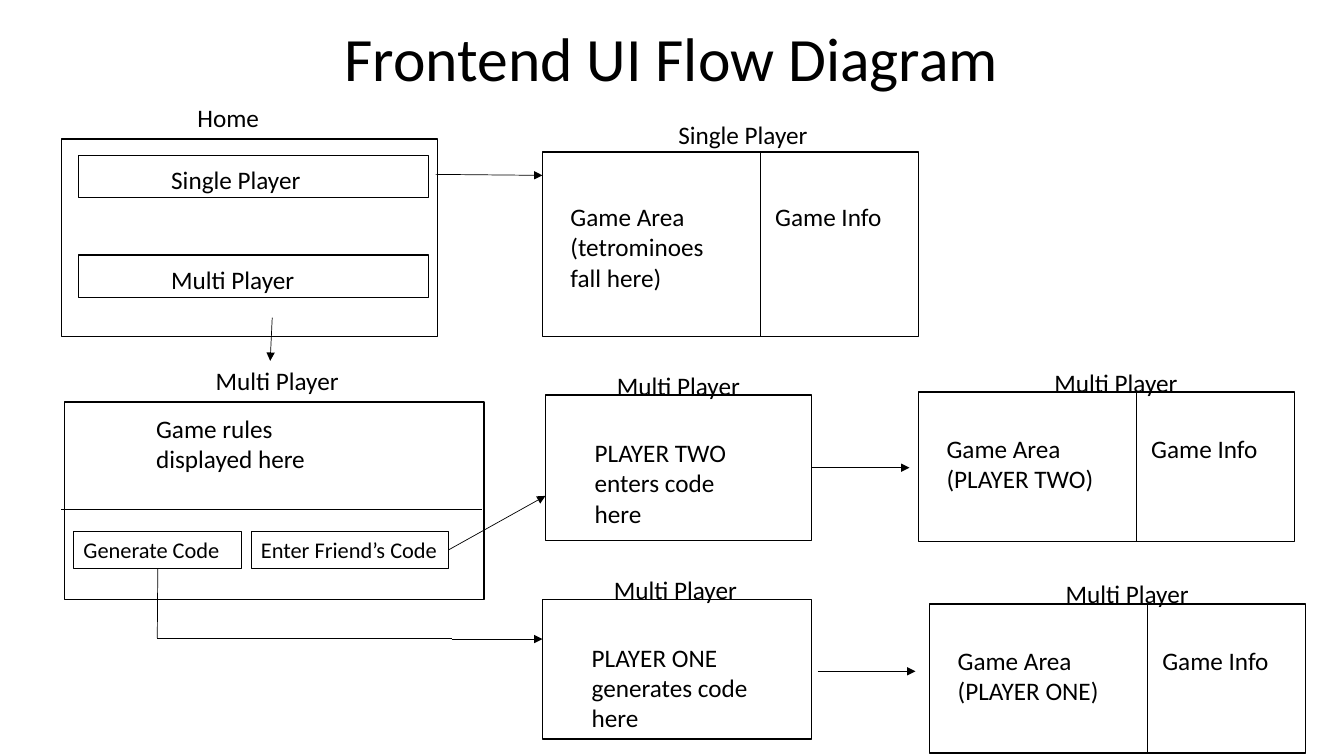
"""Build the frontend UI flow diagram slide."""
import pptx
import pptx.util
import pptx.dml.color
import pptx.enum.shapes
import pptx.enum.text
import pptx.oxml
import pptx.oxml.ns

COLORS = {"ink": "000000", "paper": "FFFFFF"}
INK = pptx.dml.color.RGBColor.from_string(COLORS["ink"])
FONT = {"name": "Calibri", "size": pptx.util.Pt(18)}
COLS, ROWS = 13.33, 7.5

prs = pptx.Presentation()
prs.slide_width = pptx.util.Inches(COLS)
prs.slide_height = pptx.util.Inches(ROWS)
COL, ROW = prs.slide_width / COLS, prs.slide_height / ROWS
s = prs.slides.add_slide(prs.slide_layouts[5])
s.background.fill.solid()
s.background.fill.fore_color.rgb = pptx.dml.color.RGBColor.from_string(COLORS["paper"])


def add_box(x, y, w, h, text="", line=None, **font):
    """Add a text box, or an outlined rectangle when a line width is given."""
    at = [int(v) for v in (x * COL, y * ROW, w * COL, h * ROW)]
    if line:
        sp = s.shapes.add_shape(pptx.enum.shapes.MSO_SHAPE.RECTANGLE, *at)
        sp.shadow.inherit = False
        sp.fill.background()
        sp.line.color.rgb = INK
        sp.line.width = pptx.util.Pt(line)
    else:
        sp = s.shapes.add_textbox(*at)
    if text:
        tf = sp.text_frame
        tf.word_wrap = True
        tf.vertical_anchor = pptx.enum.text.MSO_ANCHOR.TOP
        p = tf.paragraphs[0]
        p.alignment = pptx.enum.text.PP_ALIGN.LEFT
        r = p.add_run()
        r.text = text
        r.font.color.rgb = INK
        for key, value in {**FONT, **font}.items():
            setattr(r.font, key, value)
    return sp


def add_line(x1, y1, x2, y2, arrow=False):
    """Add a thin straight line, with an arrowhead at its end if asked."""
    cn = s.shapes.add_connector(
        pptx.enum.shapes.MSO_CONNECTOR.STRAIGHT,
        int(x1 * COL), int(y1 * ROW), int(x2 * COL), int(y2 * ROW))
    cn.line.color.rgb = INK
    cn.line.width = pptx.util.Pt(0.5)
    if arrow:
        head = pptx.oxml.parse_xml(
            f'<a:tailEnd {pptx.oxml.ns.nsdecls("a")} type="triangle"/>')
        cn.line._get_or_add_ln().append(head)
    cn._element.spPr.append(
        pptx.oxml.parse_xml(f'<a:effectLst {pptx.oxml.ns.nsdecls("a")}/>'))
    return cn


title = s.shapes.title
title.left, title.top = int(0.9 * COL), int(0.06 * ROW)
title.width, title.height = int(11.52 * COL), int(1.1 * ROW)
title.text_frame.text = "Frontend UI Flow Diagram"
title.text_frame.vertical_anchor = pptx.enum.text.MSO_ANCHOR.MIDDLE
p = title.text_frame.paragraphs[0]
p.alignment = pptx.enum.text.PP_ALIGN.CENTER
p.line_spacing = 0.9
p.font.color.rgb = INK
for key, value in {**FONT, "size": pptx.util.Pt(44)}.items():
    setattr(p.font, key, value)

add_box(0.61, 1.38, 3.73, 1.96, line=1)
add_box(1.86, 0.97, 0.9, 0.4, "Home")
for i, mode in enumerate(["Single Player", "Multi Player"]):
    y = 1.54 + i * 0.99
    add_box(0.78, y, 3.47, 0.42, line=1)
    add_box(1.6, y + 0.04, 1.6, 0.4, mode)

add_box(0.64, 3.99, 4.16, 1.96, line=1)
add_box(2.04, 3.58, 1.6, 0.4, "Multi Player")
add_box(1.45, 4.05, 1.87, 0.71, "Game rules displayed here")
add_line(0.61, 5.05, 4.78, 5.05)
buttons = []
for x, w, text in [(0.73, 1.67, "Generate Code"), (2.49, 1.96, "Enter Friend’s Code")]:
    sp = add_box(x, 5.27, w, 0.37, text, line=0.75, size=pptx.util.Pt(16))
    sp.text_frame.margin_right = 0
    buttons.append(sp)
generate, enter = buttons

code_screens = []
for x, y, w, h, prompt in [
    (5.41, 3.92, 2.64, 1.44, "PLAYER TWO enters code here"),
    (5.38, 5.95, 2.67, 1.38, "PLAYER ONE generates code here"),
]:
    code_screens.append(add_box(x, y, w, h, line=1))
    add_box(x + 0.61, y - 0.3, 1.6, 0.3, "Multi Player")
    add_box(x + 0.39, y + 0.37, 1.86, 0.84, prompt)

for x, y, h, rise, drop, name, area in [
    (5.38, 1.51, 1.83, 0.38, 0.44, "Single Player", "Game Area (tetrominoes fall here)"),
    (9.11, 3.89, 1.48, 0.3, 0.36, "Multi Player", "Game Area (PLAYER TWO)"),
    (9.22, 5.99, 1.48, 0.3, 0.36, "Multi Player", "Game Area (PLAYER ONE)"),
]:
    add_box(x, y, 3.73, h, line=1)
    add_line(x + 2.16, y, x + 2.16, y + h)
    add_box(x + 1.25, y - rise, 1.6, rise, name)
    add_box(x + 0.18, y + drop, 1.76, 0.71, area)
    add_box(x + 2.21, y + drop, 1.3, 0.31, "Game Info")

add_line(4.32, 1.73, 5.38, 1.74, arrow=True)
add_line(2.7, 3.15, 2.68, 3.58, arrow=True)
add_line(4.45, 5.46, 5.41, 4.92, arrow=True).begin_connect(enter, 3)
add_line(8.05, 4.64, 9.02, 4.64, arrow=True).begin_connect(code_screens[0], 3)
add_line(8.11, 6.66, 9.08, 6.66, arrow=True)
add_line(1.56, 5.64, 1.56, 6.33).begin_connect(generate, 2)
add_line(1.56, 6.33, 4.48, 6.33)
add_line(4.48, 6.34, 5.38, 6.34, arrow=True)

prs.save("out.pptx")
